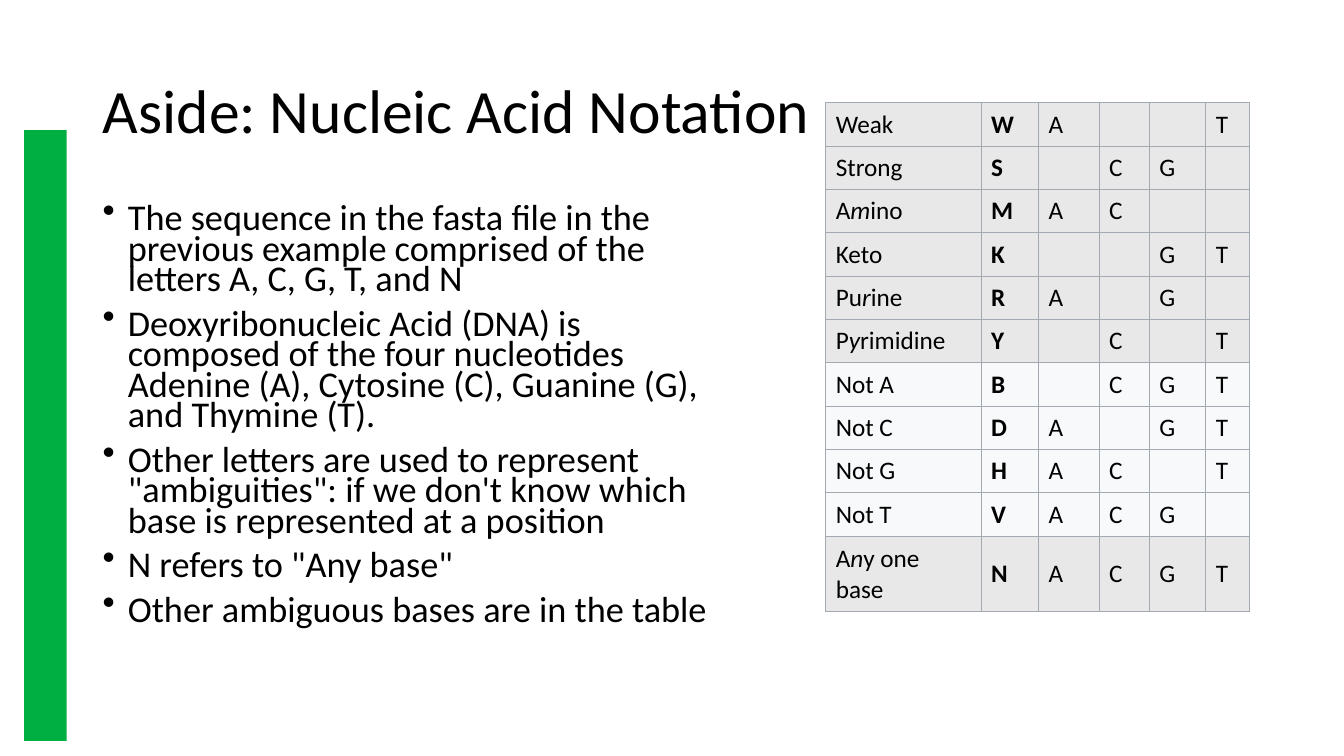
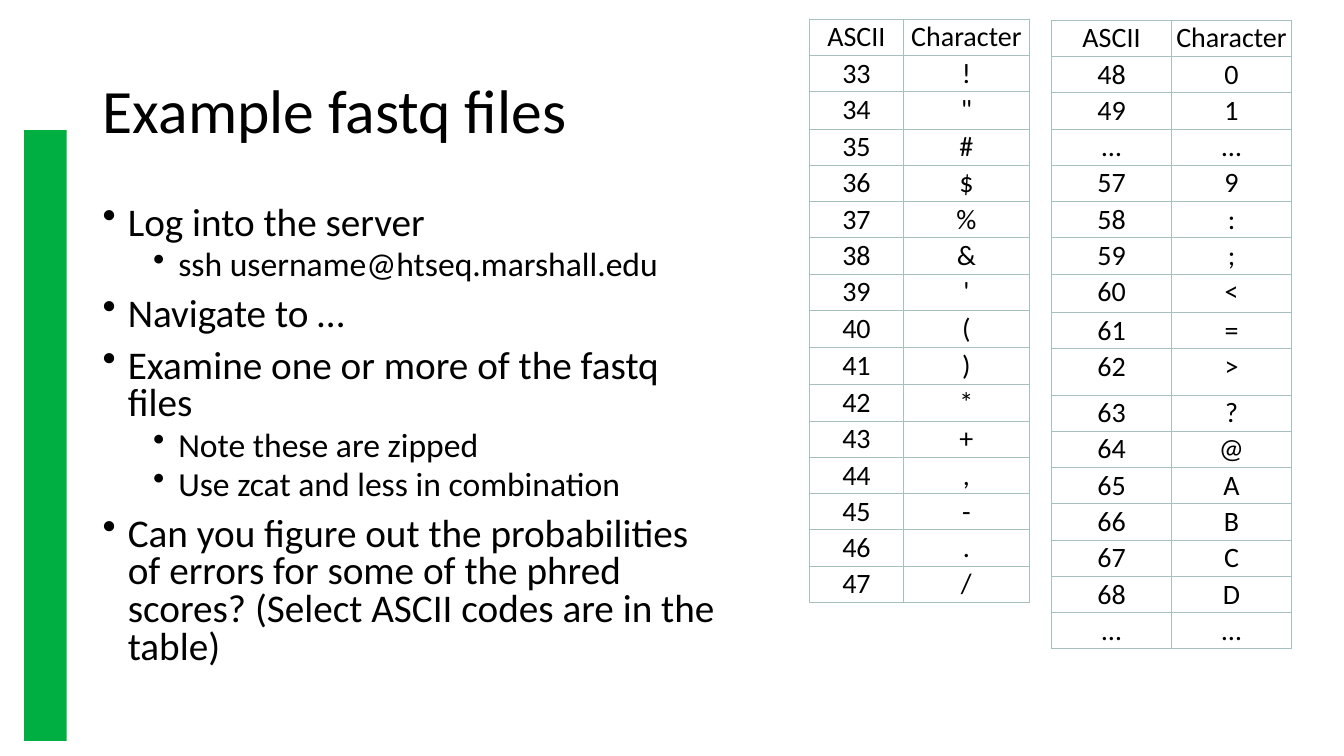
from lxml.etree import SubElement as Sub
from pptx import Presentation
from pptx.dml.color import RGBColor as RGB
from pptx.enum.shapes import MSO_SHAPE as Shape
from pptx.enum.text import MSO_ANCHOR as Anchor, MSO_AUTO_SIZE as Fit, PP_ALIGN as Align
from pptx.oxml.ns import qn
from pptx.util import Emu, Pt

PX = 9144
FONT = "Calibri"
BLACK = RGB(0x00, 0x00, 0x00)
WHITE = RGB(0xFF, 0xFF, 0xFF)
GREEN = RGB(0x00, 0xAF, 0x41)
GRAY = RGB(0xE8, 0xE8, 0xE8)
PALE = RGB(0xF8, 0xF9, 0xFA)
SLATE = RGB(0xA2, 0xA9, 0xB1)
SAGE = RGB(0xA7, 0xBF, 0xBE)

NOTES = [
    (0, "The sequence in the fasta file in the previous example comprised of the letters A, C, G, T, and N"),
    (0, "Deoxyribonucleic Acid (DNA) is composed of the four nucleotides Adenine (A), Cytosine (C), Guanine (G), and Thymine (T)."),
    (0, "Other letters are used to represent \"ambiguities\": if we don't know which base is represented at a position"),
    (0, "N refers to \"Any base\""),
    (0, "Other ambiguous bases are in the table"),
]
STEPS = [
    (0, "Log into the server"),
    (1, "ssh username@htseq.marshall.edu"),
    (0, "Navigate to …"),
    (0, "Examine one or more of the fastq files"),
    (1, "Note these are zipped"),
    (1, "Use zcat and less in combination"),
    (0, "Can you figure out the probabilities of errors for some of the phred scores? (Select ASCII codes are in the table)"),
]
BASES = [
    ("Weak", "W", "AT"),
    ("Strong", "S", "CG"),
    ("A_m_ino", "M", "AC"),
    ("Keto", "K", "GT"),
    ("Pu_r_ine", "R", "AG"),
    ("P_y_rimidine", "Y", "CT"),
    ("Not A", "B", "CGT"),
    ("Not C", "D", "AGT"),
    ("Not G", "H", "ACT"),
    ("Not T", "V", "ACG"),
    ("A_n_y one base", "N", "ACGT"),
]
HEAD = ("ASCII", "Character")
GAP = ("…", "…")


class Deck:
    """Holds the shared style and the current slide."""

    def __init__(self):
        self.prs = Presentation()
        self.prs.slide_width, self.prs.slide_height = Emu(1333 * PX), Emu(750 * PX)

    def put(self, item, **vals):
        for key, val in vals.items():
            setattr(item, key, val)

    def style(self, font, size, **vals):
        self.put(font, name=FONT, size=Pt(size), **vals)
        font.color.rgb = BLACK

    def box(self, *nums):
        return [Emu(num * PX) for num in nums]

    def page(self, title):
        self.slide = self.prs.slides.add_slide(self.prs.slide_layouts[5])
        bar = self.slide.shapes.add_shape(Shape.RECTANGLE, *self.box(24, 129, 42, 606))
        bar.shadow.inherit = False
        bar.fill.solid()
        bar.fill.fore_color.rgb = GREEN
        bar.line.fill.background()
        head = self.slide.shapes.title
        head.left, head.top, head.width, head.height = self.box(92, 40, 1150, 145)
        frame = head.text_frame
        frame.text = title
        self.put(frame, word_wrap=True, auto_size=Fit.NONE, vertical_anchor=Anchor.MIDDLE)
        para = frame.paragraphs[0]
        self.put(para, alignment=Align.LEFT, line_spacing=0.9)
        self.style(para.runs[0].font, 44)

    def list(self, width, items, sizes, space):
        frame = self.slide.shapes.add_textbox(*self.box(92, 200, width, 476)).text_frame
        frame.word_wrap = True
        for num, (level, text) in enumerate(items):
            para = frame.add_paragraph() if num else frame.paragraphs[0]
            props = para._p.get_or_add_pPr()
            props.set("marL", str((25 + 50 * level) * PX))
            props.set("indent", str(-25 * PX))
            Sub(props, qn("a:buChar"), char="•")
            self.put(para, level=level, line_spacing=space)
            if num:
                para.space_before = Pt(5 if level else 10)
            run = para.add_run()
            run.text = text
            self.style(run.font, sizes[level])

    def edge(self, cell, color):
        props = cell._tc.get_or_add_tcPr()
        for side in "LRTB":
            line = Sub(props, qn("a:ln" + side), w=str(Pt(0.75)))
            Sub(Sub(line, qn("a:solidFill")), qn("a:srgbClr"), val=str(color))

    def cell(self, cell, text, size, align, bold, fill, color):
        para = cell.text_frame.paragraphs[0]
        para.alignment = align
        self.style(para.font, size)
        for num, part in enumerate(text.split("_")):
            if part:
                run = para.add_run()
                run.text = part
                self.style(run.font, size, bold=bold, italic=num % 2 == 1)
        self.edge(cell, color)
        cell.fill.solid()
        cell.fill.fore_color.rgb = fill

    def grid(self, left, top, cols, highs, rows):
        shape = self.slide.shapes.add_table(
            len(rows), len(cols), *self.box(left, top, sum(cols), sum(highs)))
        table = shape.table
        self.put(table, first_row=False, horz_banding=False)
        for col, wide in zip(table.columns, cols):
            col.width = Emu(wide * PX)
        for row, high in zip(table.rows, highs):
            row.height = Emu(high * PX)
        return table

    def bases(self):
        highs = [43] * 10 + [75]
        table = self.grid(819, 102, [154, 57, 60, 50, 56, 43], highs, BASES)
        for row, (name, code, found) in enumerate(BASES):
            fill = PALE if name.startswith("Not") else GRAY
            marks = [base if base in found else "" for base in "ACGT"]
            for col, text in enumerate([name, code, *marks]):
                cell = table.cell(row, col)
                cell.vertical_anchor = Anchor.MIDDLE
                self.cell(cell, text, 18, Align.LEFT, col == 1, fill, SLATE)

    def ascii(self, left, top, cols, rows, tall):
        highs = [tall.get(row, 36) for row in range(len(rows))]
        table = self.grid(left, top, cols, highs, rows)
        pads = dict(margin_left=2, margin_right=2, margin_top=1, margin_bottom=1)
        for row, pair in enumerate(rows):
            for col, text in enumerate(pair):
                cell = table.cell(row, col)
                self.put(cell, **{key: Emu(val * PX) for key, val in pads.items()})
                self.cell(cell, text, 20, Align.CENTER, False, WHITE, SAGE)


def codes(start, end):
    return [(str(code), chr(code)) for code in range(start, end + 1)]


def main():
    deck = Deck()
    deck.page("Aside: Nucleic Acid Notation")
    deck.list(643, NOTES, [25.9], 0.7)
    deck.bases()
    deck.page("Example fastq files")
    deck.list(637, STEPS, [28, 24], 0.8)
    deck.ascii(803, 19, [93, 125], [HEAD, *codes(33, 47)], {2: 37, 8: 37, 9: 37})
    late = [HEAD, *codes(48, 49), GAP, *codes(57, 68), GAP]
    deck.ascii(1043, 20, [119, 119], late, {7: 38, 9: 46})
    deck.prs.save("out.pptx")


if __name__ == "__main__":
    main()
